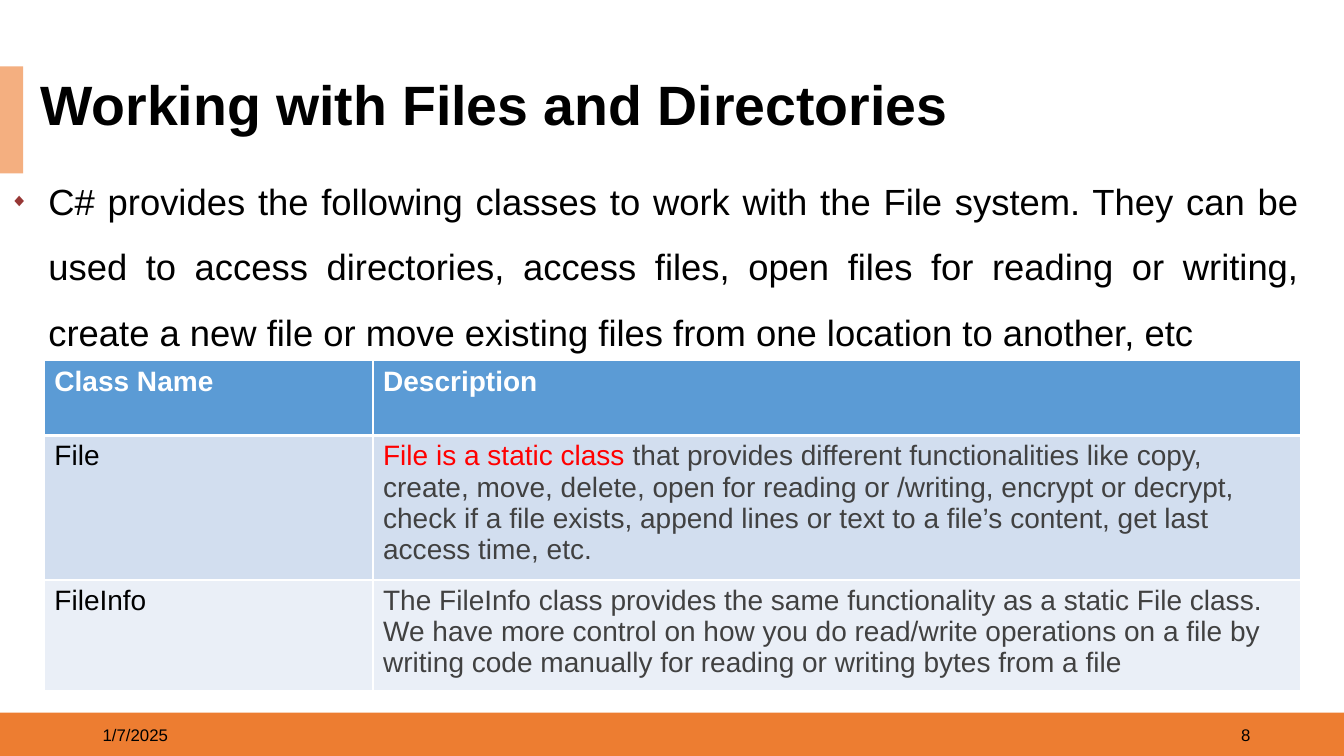
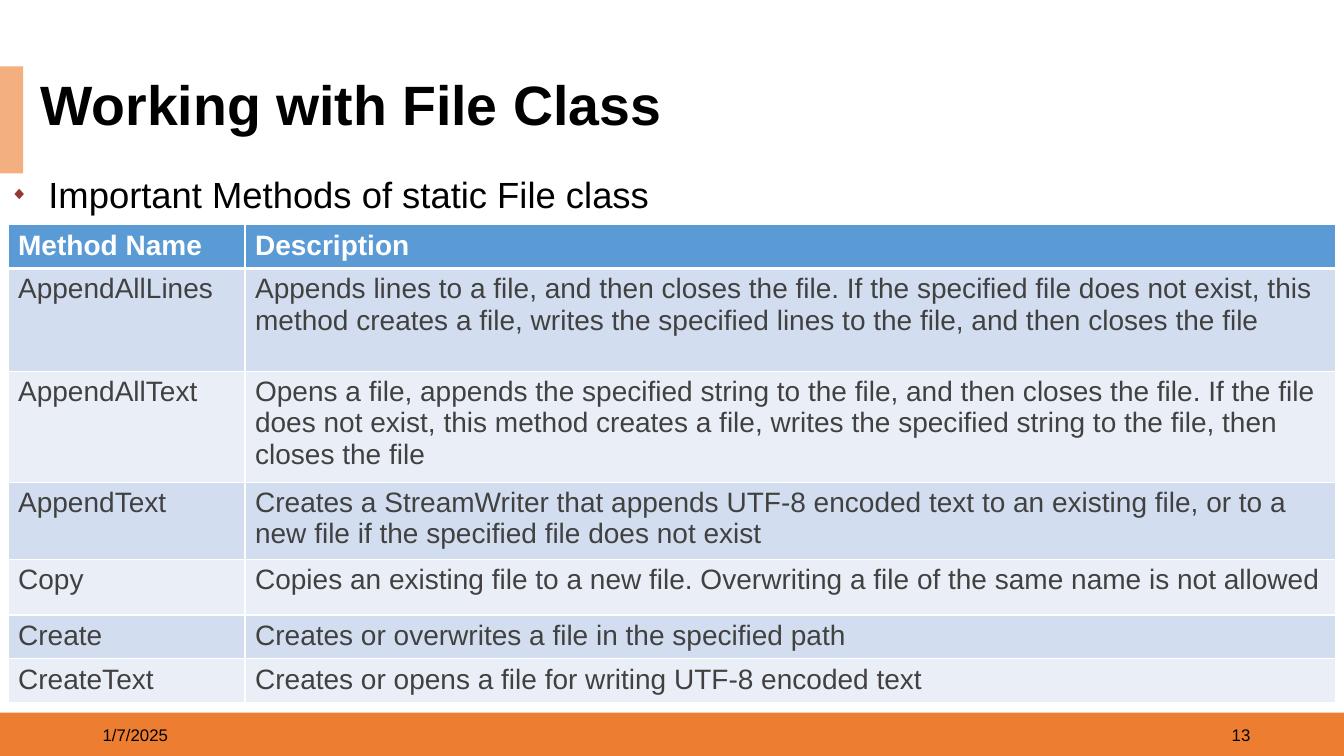
from pptx import Presentation
from pptx.dml.color import RGBColor as Rgb
from pptx.enum.shapes import MSO_SHAPE as Shape
from pptx.enum.text import MSO_ANCHOR as Anchor, MSO_AUTO_SIZE as Fit, PP_ALIGN as Align
from pptx.oxml import parse_xml
from pptx.oxml.ns import nsdecls
from pptx.util import Pt

SCALE = 9144  # EMU in one px, 100 px to the inch
WIDE, HIGH = 1333, 750

# Shared colours and text formats
BLACK, WHITE, GREY, RED = "000000", "FFFFFF", "414141", "FF0000"
BAND, TAG, MARK = "ED7D31", "F4AF80", "973735"
HEAD, ROWS = "5B9BD5", ("D2DEEF", "EAEFF7")
BASE = {"name": "Arial", "bold": False}
TITLE = {**BASE, "size": Pt(39.6), "bold": True}
BODY = {**BASE, "size": Pt(26)}
CELL = {**BASE, "size": Pt(20)}
NOTE = {**BASE, "size": Pt(12)}
DATE = "1/7/2025"


def px(*nums):
    return [num * SCALE for num in nums]


def tint(target, code):
    """Give a fill or a font the colour of a hex string."""
    if hasattr(target, "solid"):
        target.solid()
        target = target.fore_color
    else:
        target = target.color
    target.rgb = Rgb.from_string(code)


def put(item, form):
    for key, val in form.items():
        setattr(item, key, val)


def place(shape, box):
    put(shape, dict(zip(("left", "top", "width", "height"), px(*box))))


def write(para, runs, form, code=BLACK):
    """Add plain text, or a list of (text, colour) runs."""
    for text, hue in [(runs, code)] if isinstance(runs, str) else runs:
        run = para.add_run()
        run.text = text
        put(run.font, form)
        tint(run.font, hue)


def add_bar(slide, box, code):
    bar = slide.shapes.add_shape(Shape.RECTANGLE, *px(*box))
    bar.shadow.inherit = False
    tint(bar.fill, code)
    bar.line.fill.background()


def add_note(slide, box, text, align):
    frame = slide.shapes.add_textbox(*px(*box)).text_frame
    put(frame, {"word_wrap": True, "vertical_anchor": Anchor.MIDDLE})
    para = frame.paragraphs[0]
    para.alignment = align
    write(para, text, NOTE)


def add_foot(slide, box, page):
    """Bottom band with date and page number."""
    left, top, wide, high = box
    add_bar(slide, box, BAND)
    add_note(slide, (left + 92, top + 2, 300, 40), DATE, Align.LEFT)
    add_note(slide, (left + wide - 383, top + 2, 300, 40), page, Align.RIGHT)


def add_title(slide, box, text):
    """Side tag and title."""
    left, top, wide, high = box
    add_bar(slide, (left, top, 23, high), TAG)
    title = slide.shapes.title
    place(title, (left + 30, top + 9, wide - 30, 63))
    frame = title.text_frame
    put(frame, {"word_wrap": True, "auto_size": Fit.NONE,
                "vertical_anchor": Anchor.MIDDLE})
    para = frame.paragraphs[0]
    put(para, {"alignment": Align.LEFT, "line_spacing": 0.9})
    write(para, text, TITLE)


def add_body(slide, box, text, gap):
    """Bulleted lead text."""
    body = slide.placeholders[1]
    place(body, box)
    frame = body.text_frame
    put(frame, {"word_wrap": True, "auto_size": Fit.SHAPE_TO_FIT_TEXT,
                "vertical_anchor": Anchor.TOP})
    para = frame.paragraphs[0]
    put(para, {"alignment": Align.JUSTIFY, "line_spacing": 1.5,
               "space_before": Pt(gap), "space_after": Pt(gap)})
    write(para, text, BODY)
    props = para._p.get_or_add_pPr()
    dent = px(38)[0]
    props.set("marL", str(dent))
    props.set("indent", str(-dent))
    for part in (f'<a:buClr {nsdecls("a")}><a:srgbClr val="{MARK}"/></a:buClr>',
                 f'<a:buSzPct {nsdecls("a")} val="50000"/>',
                 f'<a:buFont {nsdecls("a")} typeface="Arial"/>',
                 f'<a:buChar {nsdecls("a")} char="◆"/>'):
        props.append(parse_xml(part))


def add_edges(cell, row):
    """White cell borders, thick below the head row."""
    props = cell._tc.get_or_add_tcPr()
    thick = {("B", 0), ("T", 1)}
    for side in "LRTB":
        size = Pt(3 if (side, row) in thick else 1)
        props.append(parse_xml(
            f'<a:ln{side} {nsdecls("a")} w="{size}"><a:solidFill>'
            f'<a:srgbClr val="{WHITE}"/></a:solidFill></a:ln{side}>'))


def add_grid(slide, spot, cols, highs, rows, hue):
    """Table; hue colours the text of the first column."""
    grid = slide.shapes.add_table(
        len(rows), len(cols), *px(*spot, sum(cols), sum(highs))).table
    for col, wide in zip(grid.columns, px(*cols)):
        col.width = wide
    for r, (row, high) in enumerate(zip(rows, px(*highs))):
        grid.rows[r].height = high
        for c, text in enumerate(row):
            cell = grid.cell(r, c)
            add_edges(cell, r)
            tint(cell.fill, ROWS[(r - 1) % 2] if r else HEAD)
            code = WHITE if r == 0 else GREY if c else hue
            write(cell.text_frame.paragraphs[0], text,
                  {**CELL, "bold": r == 0}, code)


def add_page(deck, page, title, lead, table):
    slide = deck.slides.add_slide(deck.slide_layouts[1])
    add_foot(slide, (0, 707, WIDE, 43), page)
    add_title(slide, (0, 66, 1002, 106), title)
    add_body(slide, **lead)
    add_grid(slide, **table)


PAGES = [
    {"page": "8", "title": "Working with Files and Directories",
     "lead": {"box": (0, 151, 1300, 199), "gap": 12, "text":
              "C# provides the following classes to work with the File system. "
              "They can be used to access directories, access files, open files "
              "for reading or writing, create a new file or move existing files "
              "from one location to another, etc"},
     "table": {"spot": (44, 358), "cols": (326, 920), "highs": (74, 143, 110),
               "hue": BLACK, "rows": [
         ("Class Name", "Description"),
         ("File", [("File is a static class ", RED),
                   ("that provides different functionalities like copy, create, "
                    "move, delete, open for reading or /writing, encrypt or "
                    "decrypt, check if a file exists, append lines or text to a "
                    "file’s content, get last access time, etc.", GREY)]),
         ("FileInfo", "The FileInfo class provides the same functionality as a "
                      "static File class. We have more control on how you do "
                      "read/write operations on a file by writing code manually "
                      "for reading or writing bytes from a file")]}},
    {"page": "13", "title": "Working with File Class",
     "lead": {"box": (0, 144, 674, 68), "gap": 6,
              "text": "Important Methods of static File class"},
     "table": {"spot": (8, 223), "cols": (235, 1082),
               "highs": (41, 102, 102, 72, 55, 41, 41), "hue": GREY, "rows": [
         ("Method Name", "Description"),
         ("AppendAllLines", "Appends lines to a file, and then closes the file. "
                            "If the specified file does not exist, this method "
                            "creates a file, writes the specified lines to the "
                            "file, and then closes the file"),
         ("AppendAllText", "Opens a file, appends the specified string to the "
                           "file, and then closes the file. If the file does not "
                           "exist, this method creates a file, writes the "
                           "specified string to the file, then closes the file"),
         ("AppendText", "Creates a StreamWriter that appends UTF-8 encoded text "
                        "to an existing file, or to a new file if the specified "
                        "file does not exist"),
         ("Copy", "Copies an existing file to a new file. Overwriting a file of "
                  "the same name is not allowed"),
         ("Create", "Creates or overwrites a file in the specified path"),
         ("CreateText", "Creates or opens a file for writing UTF-8 encoded text"),
     ]}},
]


def main():
    deck = Presentation()
    deck.slide_width, deck.slide_height = px(WIDE, HIGH)
    for page in PAGES:
        add_page(deck, **page)
    deck.save("out.pptx")


if __name__ == "__main__":
    main()
